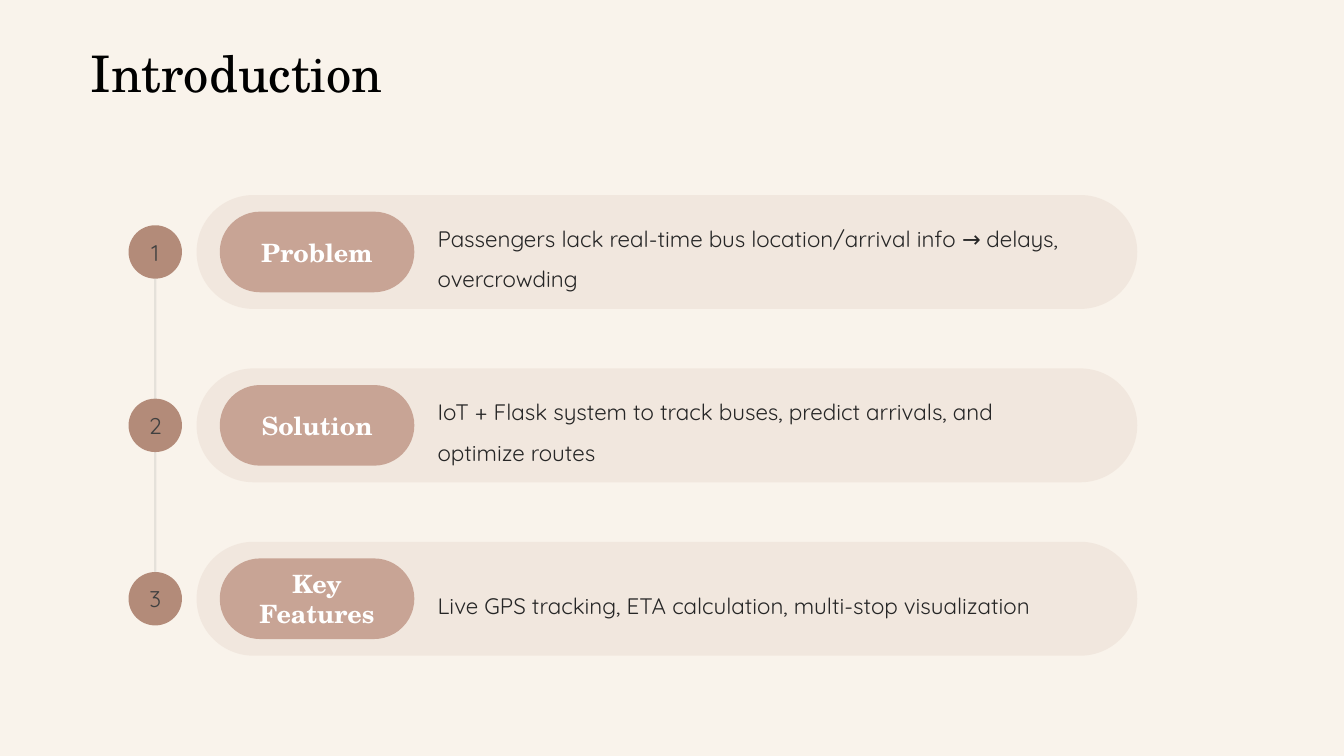
"""Build the introduction slide: three numbered topics on a vertical timeline."""
import dataclasses
import typing

import lxml.etree
import pptx
import pptx.dml.color
import pptx.enum.shapes
import pptx.enum.text
import pptx.oxml.ns
import pptx.util

Inches = pptx.util.Inches
MSO_SHAPE = pptx.enum.shapes.MSO_SHAPE
PP_ALIGN = pptx.enum.text.PP_ALIGN

COLORS = {
    "background": "F9F3EB",
    "title": "000000",
    "pill": "C8A495",
    "marker": "935A44",
    "rail": "999999",
    "heading": "FFFFFF",
    "detail": "262626",
    "number": "404040",
}
SERIF = "TeX Gyre Schola"
SANS = "Quicksand"

FIRST_CENTER = 2.5
TOPIC_PITCH = 1.72
RAIL_X = 1.54
MARKER_SIZE = 0.53


@dataclasses.dataclass(frozen=True)
class Topic:
    heading: str
    detail: str


@dataclasses.dataclass(frozen=True)
class TextStyle:
    font: str
    size: float
    color: str
    bold: bool = False
    align: PP_ALIGN = PP_ALIGN.LEFT
    line_spacing: float = 1.0


TITLE = TextStyle(SERIF, 36, "title", line_spacing=0.9)
HEADING = TextStyle(SERIF, 18, "heading", bold=True, align=PP_ALIGN.CENTER)
DETAIL = TextStyle(SANS, 16, "detail", line_spacing=1.5)
NUMBER = TextStyle(SANS, 16.2, "number", align=PP_ALIGN.CENTER)

TOPICS = [
    Topic("Problem", "Passengers lack real-time bus location/arrival info → delays, overcrowding"),
    Topic("Solution", "IoT + Flask system to track buses, predict arrivals, and optimize routes"),
    Topic("Key Features", "Live GPS tracking, ETA calculation, multi-stop visualization"),
]


def rgb(name: str) -> pptx.dml.color.RGBColor:
    """Return the named palette colour."""
    return pptx.dml.color.RGBColor.from_string(COLORS[name])


def set_opacity(fill: typing.Any, percent: int) -> None:
    """Make a solid fill partly transparent."""
    color = fill._xPr.find(".//" + pptx.oxml.ns.qn("a:srgbClr"))
    alpha = lxml.etree.SubElement(color, pptx.oxml.ns.qn("a:alpha"))
    alpha.set("val", str(percent * 1000))


def write(shape: typing.Any, text: str, style: TextStyle, wrap: bool = True) -> None:
    """Put styled, vertically centred text without insets into a shape."""
    frame = shape.text_frame
    frame.text = text
    frame.word_wrap = wrap
    frame.vertical_anchor = pptx.enum.text.MSO_ANCHOR.MIDDLE
    frame.margin_left = frame.margin_right = frame.margin_top = frame.margin_bottom = 0
    paragraph = frame.paragraphs[0]
    paragraph.alignment = style.align
    paragraph.line_spacing = style.line_spacing
    font = paragraph.runs[0].font
    font.name = style.font
    font.size = pptx.util.Pt(style.size)
    font.bold = style.bold
    font.color.rgb = rgb(style.color)


def add_text(slide: typing.Any, left: float, center: float, width: float,
             height: float, text: str, style: TextStyle) -> None:
    """Add a text box centred on a height."""
    box = slide.shapes.add_textbox(
        Inches(left), Inches(center - height / 2), Inches(width), Inches(height))
    write(box, text, style)


def add_block(slide: typing.Any, kind: MSO_SHAPE, left: float, center: float,
              width: float, height: float, color: str, opacity: int = 100) -> typing.Any:
    """Add a borderless filled shape centred on a height."""
    block = slide.shapes.add_shape(
        kind, Inches(left), Inches(center - height / 2), Inches(width), Inches(height))
    block.shadow.inherit = False
    block.line.fill.background()
    block.fill.solid()
    block.fill.fore_color.rgb = rgb(color)
    if opacity < 100:
        set_opacity(block.fill, opacity)
    if kind == MSO_SHAPE.ROUNDED_RECTANGLE:
        block.adjustments[0] = 0.5
    return block


def add_rail(slide: typing.Any, top: float, bottom: float) -> None:
    """Add a faint vertical line between two markers."""
    rail = slide.shapes.add_connector(
        pptx.enum.shapes.MSO_CONNECTOR.STRAIGHT,
        Inches(RAIL_X), Inches(top), Inches(RAIL_X), Inches(bottom))
    rail.line.width = pptx.util.Pt(1.5)
    rail.line.color.rgb = rgb("rail")
    set_opacity(rail.line.fill, 20)
    lxml.etree.SubElement(rail._element.spPr, pptx.oxml.ns.qn("a:effectLst"))


def add_topic(slide: typing.Any, number: int, center: float, topic: Topic) -> None:
    """Add one topic row with its band, heading, detail and marker."""
    pill = MSO_SHAPE.ROUNDED_RECTANGLE
    add_block(slide, pill, 1.95, center, 9.33, 1.13, "pill", 15)
    heading = add_block(slide, pill, 2.18, center, 1.93, 0.8, "pill")
    write(heading, topic.heading, HEADING)
    add_text(slide, 4.34, center, 6.38, 0.96, topic.detail, DETAIL)
    marker = add_block(slide, MSO_SHAPE.OVAL, RAIL_X - MARKER_SIZE / 2, center,
                       MARKER_SIZE, MARKER_SIZE, "marker", 68)
    write(marker, str(number), NUMBER, wrap=False)


def main() -> None:
    """Create and save the presentation."""
    deck = pptx.Presentation()
    deck.slide_width, deck.slide_height = Inches(13.33), Inches(7.5)
    slide = deck.slides.add_slide(deck.slide_layouts[6])
    slide.background.fill.solid()
    slide.background.fill.fore_color.rgb = rgb("background")

    add_text(slide, 0.9, 0.76, 11.67, 1.18, "Introduction", TITLE)
    for index, topic in enumerate(TOPICS):
        center = FIRST_CENTER + index * TOPIC_PITCH
        add_topic(slide, index + 1, center, topic)
        if index:
            add_rail(slide, center - TOPIC_PITCH + MARKER_SIZE / 2, center - MARKER_SIZE / 2)

    deck.save("out.pptx")


if __name__ == "__main__":
    main()
